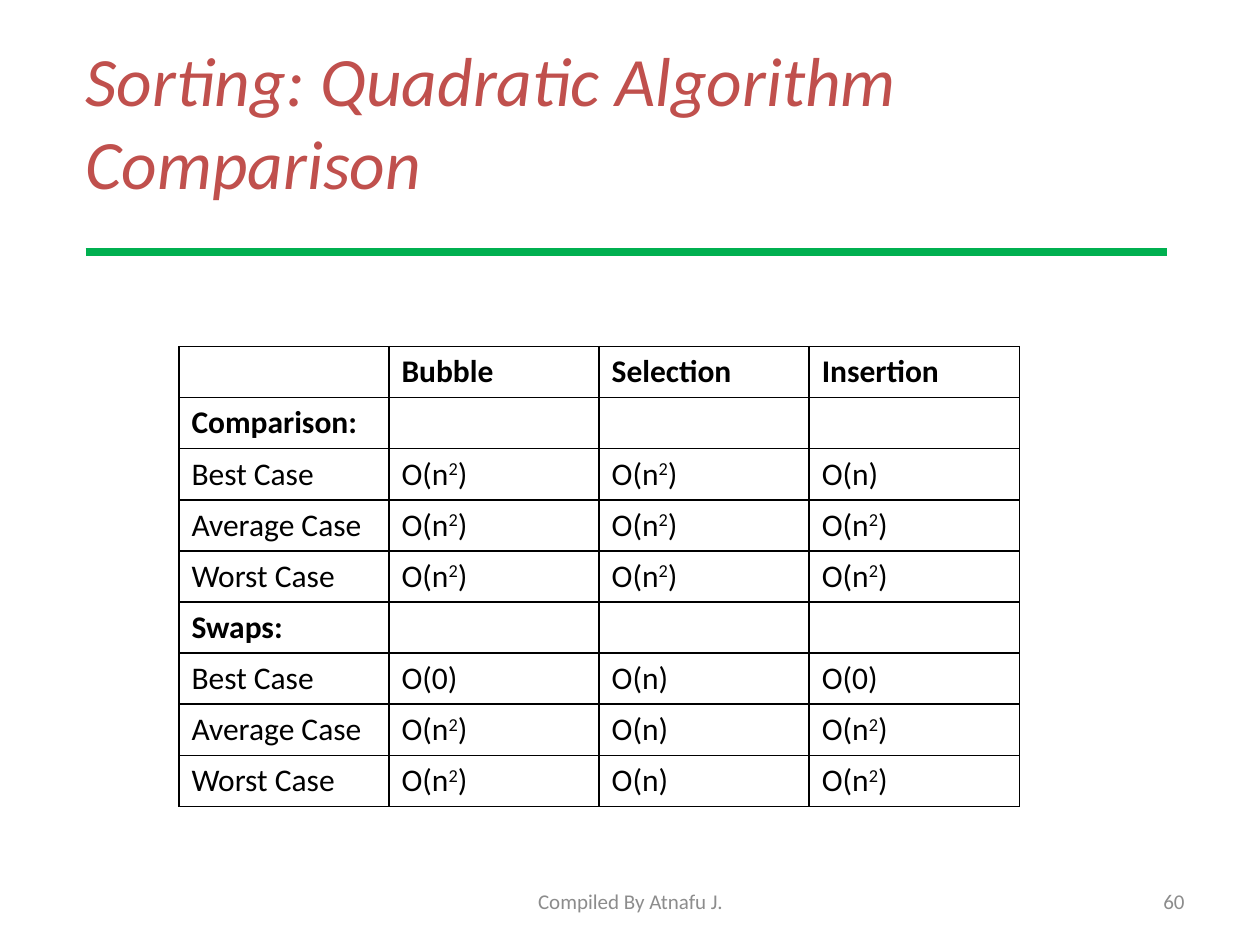
from lxml.etree import SubElement
from pptx import Presentation
from pptx.dml.color import RGBColor
from pptx.enum.shapes import MSO_CONNECTOR
from pptx.enum.text import MSO_ANCHOR, PP_ALIGN
from pptx.oxml.ns import qn
from pptx.util import Inches, Pt

COLORS = {"title": "C0504D", "rule": "00B050", "footer": "8C8C8C", "ink": "000000"}


def add_run(paragraph, text, size, color, bold=False, italic=False):
    run = paragraph.add_run()
    run.text = text
    run.font.name = "Calibri"
    run.font.size = Pt(size)
    run.font.bold = bold
    run.font.italic = italic
    run.font.color.rgb = RGBColor.from_string(COLORS[color])
    return run


def add_borders(cell):
    properties = cell._tc.get_or_add_tcPr()
    for position, side in enumerate(("a:lnL", "a:lnR", "a:lnT", "a:lnB")):
        border = properties.makeelement(qn(side), {"w": str(Pt(1))})
        fill = SubElement(border, qn("a:solidFill"))
        SubElement(fill, qn("a:srgbClr"), val=COLORS["ink"])
        properties.insert(position, border)  # borders come before the fill


prs = Presentation()
prs.slide_width, prs.slide_height = Inches(10), Inches(7.5)
slide = prs.slides.add_slide(prs.slide_layouts[5])

# Title
title = slide.shapes.title
title.left, title.top = Inches(0.58), Inches(0.33)
title.width, title.height = Inches(9), Inches(1.25)
title.text_frame.vertical_anchor = MSO_ANCHOR.MIDDLE
heading = title.text_frame.paragraphs[0]
heading.alignment = PP_ALIGN.LEFT
add_run(heading, "Sorting: Quadratic Algorithm Comparison", 39.6, "title", italic=True)

# Rule under the title
rule = slide.shapes.add_connector(
    MSO_CONNECTOR.STRAIGHT, Inches(0.68), Inches(2), Inches(9.26), Inches(2))
rule.line.color.rgb = RGBColor.from_string(COLORS["rule"])
rule.line.width = Pt(4.25)
SubElement(rule._element.spPr, qn("a:effectLst"))

# Comparison table: n² is set as a raised 2
rows = [
    ("", "Bubble", "Selection", "Insertion"),
    ("Comparison:", "", "", ""),
    ("Best Case", "O(n²)", "O(n²)", "O(n)"),
    ("Average Case", "O(n²)", "O(n²)", "O(n²)"),
    ("Worst Case", "O(n²)", "O(n²)", "O(n²)"),
    ("Swaps:", "", "", ""),
    ("Best Case", "O(0)", "O(n)", "O(0)"),
    ("Average Case", "O(n²)", "O(n)", "O(n²)"),
    ("Worst Case", "O(n²)", "O(n)", "O(n²)"),
]
heading_rows = (0, 1, 5)
comparison = slide.shapes.add_table(
    len(rows), len(rows[0]), Inches(1.42), Inches(2.75), Inches(6.67), Inches(3.6)).table
comparison.first_row = comparison.horz_banding = False

for row_index, row in enumerate(rows):
    for column_index, entry in enumerate(row):
        cell = comparison.cell(row_index, column_index)
        cell.fill.background()
        add_borders(cell)
        paragraph = cell.text_frame.paragraphs[0]
        base, square, rest = entry.partition("²")
        for part, raised in ((base, False), ("2" if square else "", True), (rest, False)):
            if part:
                run = add_run(paragraph, part, 18, "ink", bold=row_index in heading_rows)
                if raised:
                    run.font._element.set("baseline", "30000")

# Footer and slide number
for left, width, text, alignment in (
    (3.42, 3.17, "Compiled By Atnafu J.", PP_ALIGN.CENTER),
    (7.17, 2.33, "60", PP_ALIGN.RIGHT),
):
    footer = slide.shapes.add_textbox(
        Inches(left), Inches(6.95), Inches(width), Inches(0.4)).text_frame
    footer.word_wrap = True
    footer.vertical_anchor = MSO_ANCHOR.MIDDLE
    footer.paragraphs[0].alignment = alignment
    add_run(footer.paragraphs[0], text, 12, "footer")

prs.save("out.pptx")
